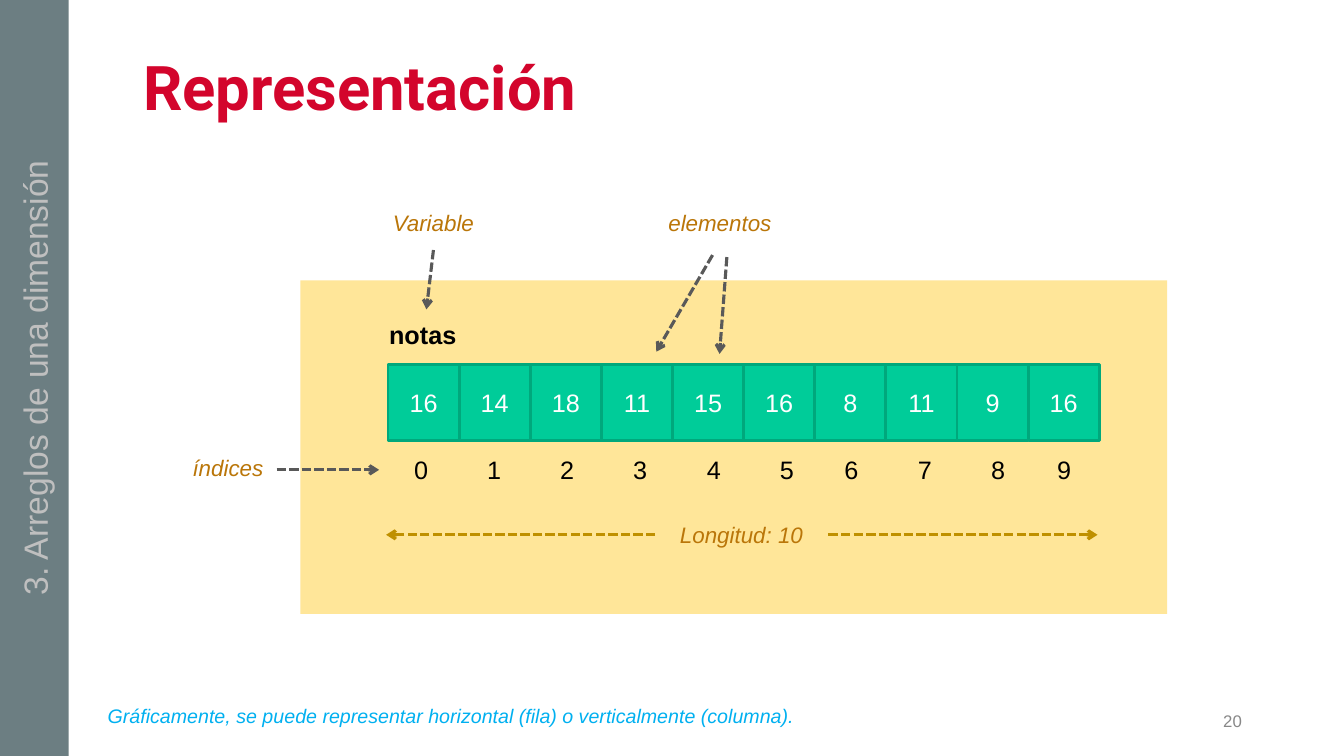
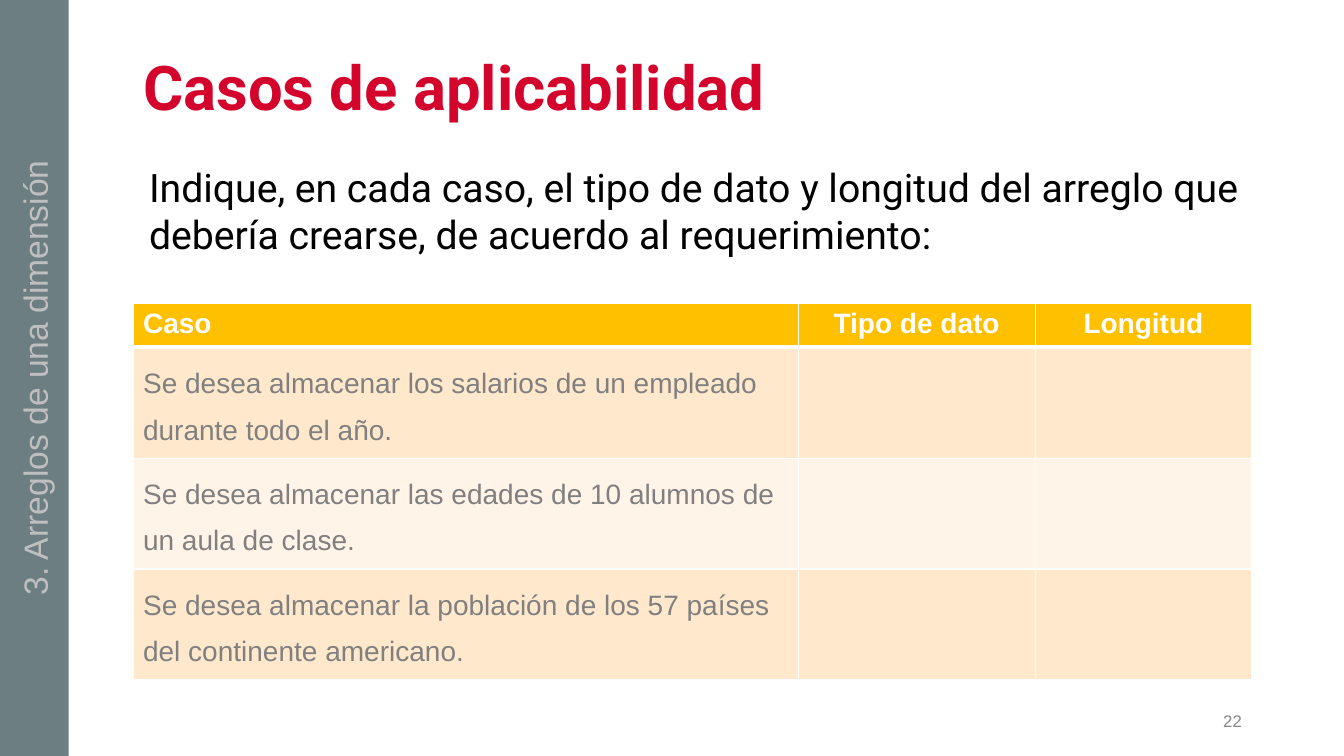
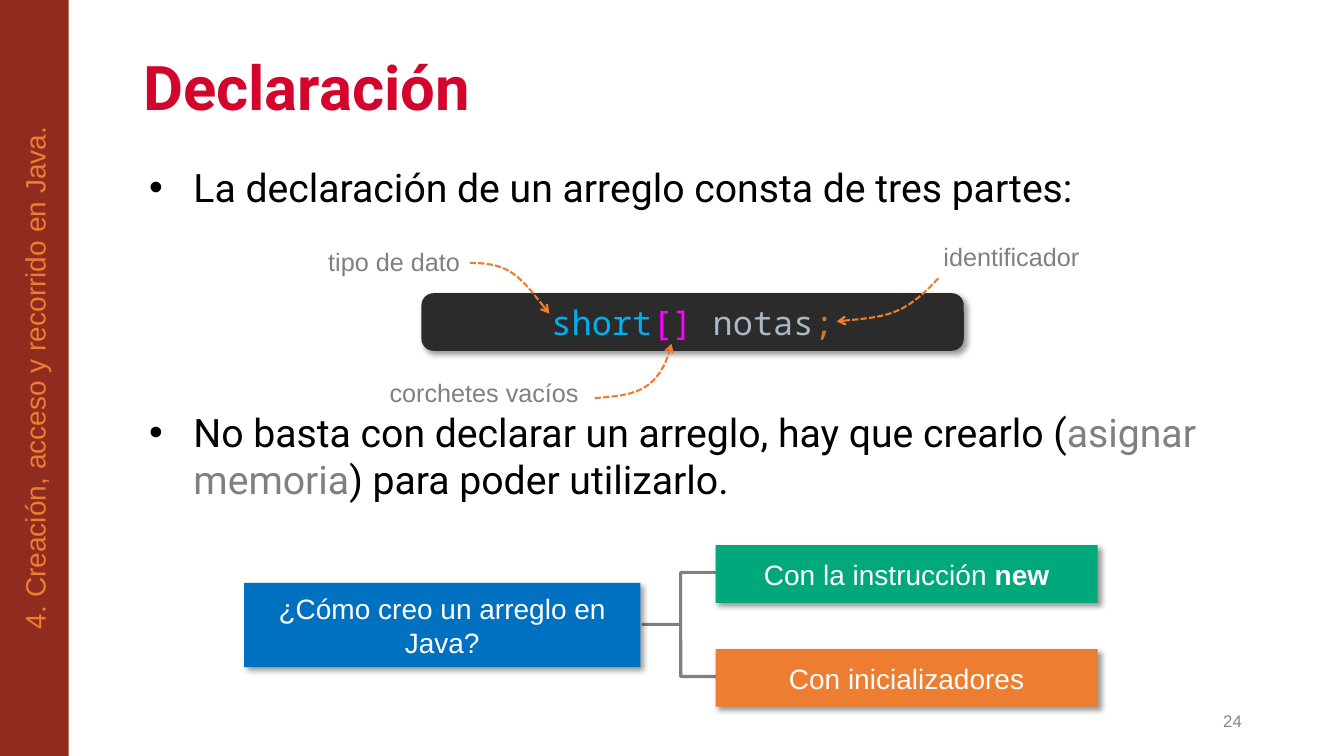
from lxml import etree
from pptx import Presentation
from pptx.dml.color import RGBColor
from pptx.enum.dml import MSO_LINE
from pptx.enum.shapes import MSO_CONNECTOR, MSO_SHAPE
from pptx.enum.text import MSO_ANCHOR, MSO_AUTO_SIZE, PP_ALIGN
from pptx.oxml.ns import qn
from pptx.util import Pt

LEFT, CENTER, RIGHT = PP_ALIGN.LEFT, PP_ALIGN.CENTER, PP_ALIGN.RIGHT
TOP, MIDDLE = MSO_ANCHOR.TOP, MSO_ANCHOR.MIDDLE
NO_AUTOFIT = MSO_AUTO_SIZE.NONE
DASH = MSO_LINE.SQUARE_DOT
STRAIGHT = MSO_CONNECTOR.STRAIGHT
RECTANGLE = MSO_SHAPE.RECTANGLE
ROUNDED = MSO_SHAPE.ROUNDED_RECTANGLE
BRACE = MSO_SHAPE.LEFT_BRACE
CONTENT_LAYOUT, TITLE_LAYOUT = 1, 5

WHITE, BLACK, GRAY, DARK_GRAY = "FFFFFF", "000000", "808080", "595959"
GREEN, ORANGE, SKY = "00A87C", "ED7D31", "00B0F0"

TITLE_FONT = {"name": "Roboto", "size": Pt(44), "bold": True, "colour": "D3052C"}
BODY_FONT = {"name": "Roboto", "size": Pt(28), "colour": BLACK}
NUMBER_FONT = {"name": "Arial", "size": Pt(12), "colour": "888888"}
CELL_FONT = {"name": "Arial", "size": Pt(18), "colour": WHITE}
INDEX_FONT = {**CELL_FONT, "colour": BLACK}
LABEL_FONT = {**CELL_FONT, "colour": GRAY}
NOTE_FONT = {"name": "Arial", "size": Pt(16), "italic": True, "colour": "BA7609"}
CAPTION_FONT = {**NOTE_FONT, "size": Pt(14), "colour": SKY}
BOX_FONT = {"name": "Arial", "size": Pt(20), "colour": WHITE}
CODE_FONT = {"name": "Noto Sans Mono", "size": Pt(24)}

DIMENSION_BAND = {
    "text": "3. Arreglos de una dimensión",
    "fill": "6C7E82",
    "font": {"name": "Arial", "size": Pt(24), "colour": "BFBFBF"},
}
JAVA_BAND = {
    "text": "4. Creación, acceso y recorrido en Java.",
    "fill": "902B1F",
    "font": {**BOX_FONT, "colour": ORANGE},
}


def colour(value):
    return RGBColor.from_string(value)


def points(*lengths):
    return [Pt(length) for length in lengths]


def apply_format(target, values):
    for name, value in values.items():
        if name == "colour":
            target.color.rgb = colour(value)
        else:
            setattr(target, name, value)


def paint(target, value):
    target.fill.solid()
    target.fill.fore_color.rgb = colour(value)


def write(paragraph, text, font, alignment=LEFT):
    paragraph.alignment = alignment
    runs = [(text, {})] if isinstance(text, str) else text
    for content, changes in runs:
        run = paragraph.add_run()
        run.text = content
        apply_format(run.font, {**font, **changes})


def place(shape, box):
    apply_format(shape, dict(zip(("left", "top", "width", "height"), points(*box))))


def add_text(slide, box, text, font, alignment=CENTER, anchor=TOP):
    shape = slide.shapes.add_textbox(*points(*box))
    apply_format(shape.text_frame, {"word_wrap": True, "vertical_anchor": anchor})
    write(shape.text_frame.paragraphs[0], text, font, alignment)


def add_shadow(shape):
    effects = shape._element.spPr.find(qn("a:effectLst"))
    shadow = etree.SubElement(
        effects, qn("a:outerShdw"), blurRad=str(Pt(4)), dist=str(Pt(3)),
        dir="2700000", algn="tl", rotWithShape="0")
    tone = etree.SubElement(shadow, qn("a:srgbClr"), val=BLACK)
    etree.SubElement(tone, qn("a:alpha"), val="40000")


def add_box(slide, box, fill, text="", font=BOX_FONT, kind=RECTANGLE,
            outline=None, shadow=False):
    shape = slide.shapes.add_shape(kind, *points(*box))
    shape.shadow.inherit = False
    paint(shape, fill)
    if outline:
        apply_format(shape.line, {"colour": outline, "width": Pt(2)})
    else:
        shape.line.fill.background()
    if shadow:
        add_shadow(shape)
    if text:
        write(shape.text_frame.paragraphs[0], text, font, CENTER)
    return shape


def style_arrow(shape, tone, width):
    apply_format(shape.line, {"colour": tone, "width": Pt(width), "dash_style": DASH})
    etree.SubElement(shape.line._get_or_add_ln(), qn("a:tailEnd"), type="arrow")


def add_arrow(slide, start, end, tone=DARK_GRAY):
    connector = slide.shapes.add_connector(STRAIGHT, *points(*start, *end))
    style_arrow(connector, tone, 2.25)
    etree.SubElement(connector._element.spPr, qn("a:effectLst"))


def bezier_point(controls, t):
    weights = ((1 - t) ** 3, 3 * t * (1 - t) ** 2, 3 * t ** 2 * (1 - t), t ** 3)
    return tuple(Pt(sum(weight * control[axis] for weight, control in zip(weights, controls)))
                 for axis in (0, 1))


def add_curved_arrow(slide, controls, steps=24):
    curve = [bezier_point(controls, step / steps) for step in range(steps + 1)]
    builder = slide.shapes.build_freeform(*curve[0])
    builder.add_line_segments(curve[1:], close=False)
    shape = builder.convert_to_shape()
    shape.shadow.inherit = False
    shape.fill.background()
    style_arrow(shape, ORANGE, 1.5)


def add_slide(presentation, layout, title, number, band):
    slide = presentation.slides.add_slide(presentation.slide_layouts[layout])
    place(slide.shapes.title, (95, 33.8, 799.2, 62))
    frame = slide.shapes.title.text_frame
    apply_format(frame, {"auto_size": NO_AUTOFIT, "vertical_anchor": MIDDLE})
    frame.paragraphs[0].line_spacing = 0.9
    write(frame.paragraphs[0], title, TITLE_FONT)
    add_text(slide, (678.2, 500.4, 216, 28.8), number, NUMBER_FONT, RIGHT, MIDDLE)
    side = add_box(slide, (0, 0, 49, 540), band["fill"], band["text"], band["font"])
    side.text_frame._txBody.bodyPr.set("vert", "vert270")
    return slide


def fill_body(slide, entries, left, indent, bullet=None):
    body = slide.placeholders[1]
    place(body, (95, 113, 799.2, 376.6))
    frame = body.text_frame
    apply_format(frame, {"auto_size": NO_AUTOFIT, "vertical_anchor": TOP})
    for position, (text, gap) in enumerate(entries):
        paragraph = frame.add_paragraph() if position else frame.paragraphs[0]
        properties = paragraph._p.get_or_add_pPr()
        properties.set("marL", str(Pt(left)))
        properties.set("indent", str(Pt(indent)))
        if bullet:
            etree.SubElement(properties, qn("a:buFont"), typeface="Arial")
            etree.SubElement(properties, qn("a:buChar"), char=bullet)
        else:
            etree.SubElement(properties, qn("a:buNone"))
        apply_format(paragraph, {"space_before": Pt(gap), "line_spacing": 1.0})
        write(paragraph, text, BODY_FONT)


def add_borders(cell, top, bottom):
    properties = cell._tc.get_or_add_tcPr()
    for side, width in (("L", 1), ("R", 1), ("T", top), ("B", bottom)):
        line = etree.SubElement(properties, qn("a:ln" + side), w=str(Pt(width)))
        fill = etree.SubElement(line, qn("a:solidFill"))
        etree.SubElement(fill, qn("a:srgbClr"), val=WHITE)


def add_case_table(slide, headers, cases):
    widths, heights = (475.2, 169.2, 154.8), [30.2] + [74.2] * len(cases)
    rows = [headers] + [(case, "", "") for case in cases]
    frame = slide.shapes.add_table(
        len(rows), len(widths), *points(95, 216.8, sum(widths), sum(heights)))
    table = frame.table
    for column, width in zip(table.columns, widths):
        column.width = Pt(width)
    for row_index, texts in enumerate(rows):
        table.rows[row_index].height = Pt(heights[row_index])
        header = row_index == 0
        fill = "FFC000" if header else ("FFF4E7", "FFE8CC")[row_index % 2]
        font = {**BOX_FONT, "bold": header, "colour": WHITE if header else GRAY}
        for column_index, text in enumerate(texts):
            cell = table.cell(row_index, column_index)
            add_borders(cell, 3 if row_index == 1 else 1, 3 if header else 1)
            paint(cell, fill)
            if text:
                paragraph = cell.text_frame.paragraphs[0]
                paragraph.line_spacing = 1.0 if header else 1.5
                write(paragraph, text, font, CENTER if column_index else LEFT)


def build_representation(presentation):
    slide = add_slide(presentation, TITLE_LAYOUT, "Representación", "20", DIMENSION_BAND)
    add_box(slide, (214.6, 200.2, 619.2, 238.3), "FFE699")
    grades = (16, 14, 18, 11, 15, 16, 8, 11, 9, 16)
    index_centers = (300.8, 352.8, 405, 457.2, 509.8, 562, 608, 660.6, 712.8, 760)
    for index, (grade, center) in enumerate(zip(grades, index_centers)):
        add_box(slide, (277.2 + 50.8 * index, 260.6, 50.8, 54), "00CC99",
                str(grade), CELL_FONT, outline=GREEN)
        add_text(slide, (center - 12, 321.2, 24, 28.8), str(index), INDEX_FONT)
    add_text(slide, (266, 224.6, 72, 28.8), "notas", {**INDEX_FONT, "bold": True})
    for text, left, top, width in (
            ("Variable", 264.2, 146.2, 90.8), ("elementos", 468.8, 146.2, 90.8),
            ("índices", 117.4, 321.2, 90.8), ("Longitud: 10", 452.2, 368.8, 154.8)):
        add_text(slide, (left, top, width, 26.6), text, NOTE_FONT)
    for start, end in (
            ((309.6, 178.6), (304.6, 221)), ((519.2, 183.6), (514, 252.8)),
            ((509, 182.2), (468.8, 251.2)), ((197.6, 335.6), (270.8, 335.6))):
        add_arrow(slide, start, end)
    for start, end in ((468, 275.8), (591.8, 784)):
        add_arrow(slide, (start, 382), (end, 382), "BF9000")
    add_text(slide, (69.8, 499, 652.4, 24.4),
             "Gráficamente, se puede representar horizontal (fila) o verticalmente (columna).",
             CAPTION_FONT, LEFT)


def build_cases(presentation):
    slide = add_slide(presentation, CONTENT_LAYOUT, "Casos de aplicabilidad", "22",
                      DIMENSION_BAND)
    fill_body(slide, [("Indique, en cada caso, el tipo de dato y longitud del arreglo que "
                       "debería crearse, de acuerdo al requerimiento:", 0)], 4.3, 0)
    add_case_table(slide, ("Caso", "Tipo de dato", "Longitud"), (
        "Se desea almacenar los salarios de un empleado durante todo el año.",
        "Se desea almacenar las edades de 10 alumnos de un aula de clase.",
        "Se desea almacenar la población de los 57 países del continente americano."))


def build_declaration(presentation):
    slide = add_slide(presentation, CONTENT_LAYOUT, "Declaración", "24", JAVA_BAND)
    fill_body(slide, [
        ("La declaración de un arreglo consta de tres partes:", 0),
        ([("No basta con declarar un arreglo, hay que crearlo (", {}),
          ("asignar memoria", {"colour": GRAY}),
          (") para poder utilizarlo.", {})], 141.5)], 36, -31.7, "•")
    code = [("short", {"colour": SKY}), ("[] ", {"colour": "FF00FF"}),
            ("notas", {"colour": "A9B7C6"}), (";", {"colour": "CC7832"})]
    code_box = add_box(slide, (301, 209.4, 387.4, 41.2), "2B2B2B", code, CODE_FONT,
                       ROUNDED, shadow=True)
    code_box.adjustments[0] = 0.21
    for text, left, top, width in (
            ("tipo de dato", 227.4, 172.2, 134.6),
            ("corchetes vacíos", 271.2, 265.8, 176.4),
            ("identificador", 666.8, 168.6, 176.4)):
        add_text(slide, (left, top, width, 28.8), text, LABEL_FONT, LEFT)
    for controls in (
            ((335.6, 187.8), (365.8, 187.8), (371.6, 198), (392.4, 224)),
            ((670.2, 198.8), (644.4, 226.8), (632.8, 226), (597.6, 229.6)),
            ((424.8, 284.4), (447.8, 282.2), (470.8, 283), (479.6, 245.6))):
        add_curved_arrow(slide, controls)
    brace = slide.shapes.add_shape(BRACE, *points(459.2, 408.8, 54, 74.4))
    brace.shadow.inherit = False
    brace.fill.background()
    brace.adjustments[0] = 0
    apply_format(brace.line, {"colour": GRAY, "width": Pt(2.25)})
    for box, fill, text in (
            ((511.2, 389.4, 272.8, 41.2), GREEN,
             [("Con la instrucción ", {}), ("new", {"bold": True})]),
            ((511.2, 463.6, 272.8, 41.2), ORANGE, "Con inicializadores"),
            ((174.4, 416.4, 283, 60.2), "0070C0", "¿Cómo creo un arreglo en Java?")):
        add_box(slide, box, fill, text, shadow=True)


def main():
    presentation = Presentation()
    presentation.slide_width, presentation.slide_height = points(960, 540)
    build_representation(presentation)
    build_cases(presentation)
    build_declaration(presentation)
    presentation.save("out.pptx")


if __name__ == "__main__":
    main()
